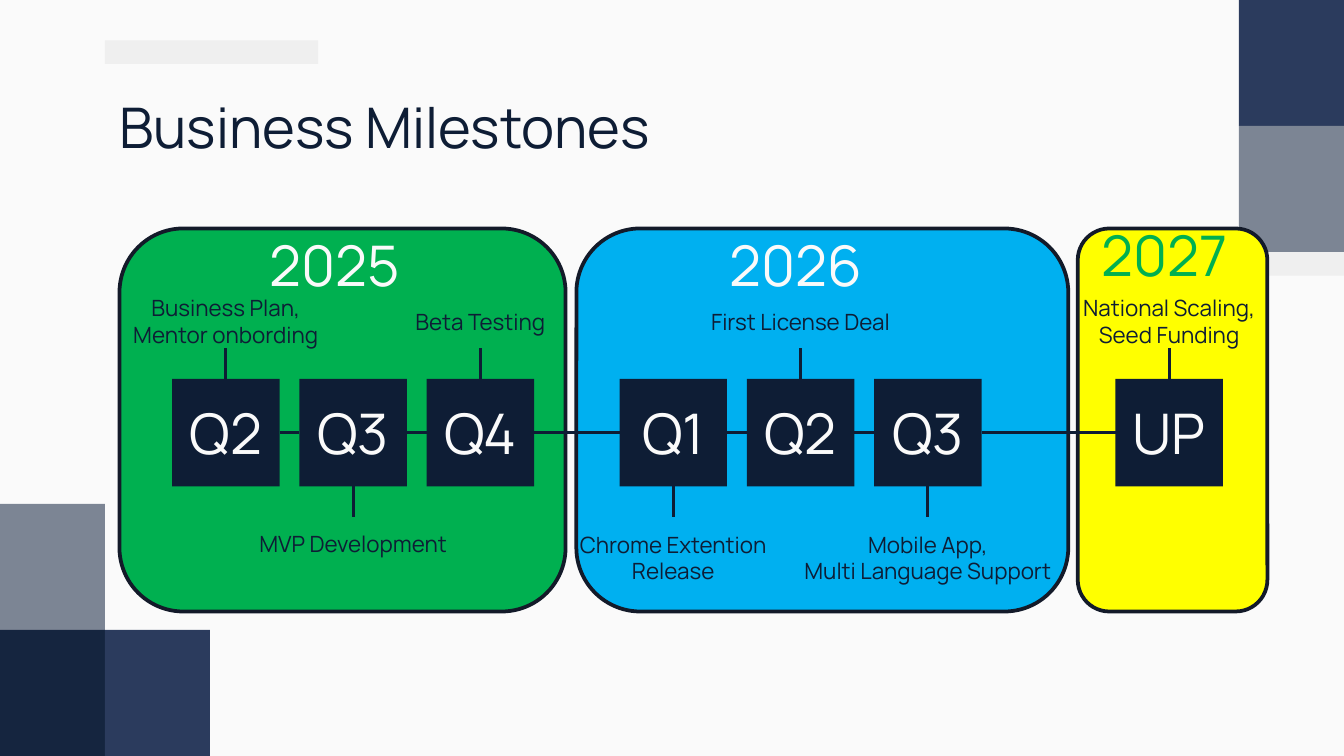
from dataclasses import dataclass
from itertools import pairwise

from lxml import etree
from pptx import Presentation
from pptx.dml.color import RGBColor
from pptx.enum.shapes import MSO_CONNECTOR, MSO_SHAPE
from pptx.enum.text import MSO_ANCHOR, PP_ALIGN
from pptx.oxml.ns import qn
from pptx.util import Pt

RECT = MSO_SHAPE.RECTANGLE
ROUNDED = MSO_SHAPE.ROUNDED_RECTANGLE
STRAIGHT = MSO_CONNECTOR.STRAIGHT
LEFT, CENTER = PP_ALIGN.LEFT, PP_ALIGN.CENTER
TOP, MIDDLE = MSO_ANCHOR.TOP, MSO_ANCHOR.MIDDLE
RIGHT_SITE, LEFT_SITE = 3, 1


@dataclass(frozen=True)
class Theme:
    font: str = "Manrope"
    heading: int = 30
    label: int = 12
    paper: str = "FAFAFA"
    ink: str = "0E1D35"
    outline: str = "131A29"
    deep: str = "15253F"
    navy: str = "2B3B5D"
    slate: str = "7C8594"
    mist: str = "EFEFEF"
    green: str = "00B050"
    blue: str = "00B0F0"
    yellow: str = "FFFF00"


class MilestoneSlide:
    def __init__(self, slide, theme):
        self.slide = slide
        self.theme = theme
        background = slide.background.fill
        background.solid()
        background.fore_color.rgb = RGBColor.from_string(theme.paper)

    def block(self, left, top, width, height, color, kind=RECT, outlined=False):
        block = self.slide.shapes.add_shape(
            kind, Pt(left), Pt(top), Pt(width), Pt(height))
        block.shadow.inherit = False
        block.fill.solid()
        block.fill.fore_color.rgb = RGBColor.from_string(color)
        if outlined:
            block.line.color.rgb = RGBColor.from_string(self.theme.outline)
            block.line.width = Pt(2)
        else:
            block.line.fill.background()
        return block

    def set_text(self, shape, text, size, color, align, anchor=TOP):
        frame = shape.text_frame
        frame.word_wrap = True
        frame.vertical_anchor = anchor
        frame.margin_left = frame.margin_right = Pt(7.2)
        frame.margin_top = frame.margin_bottom = Pt(7.2)
        frame.text = text
        for paragraph in frame.paragraphs:
            paragraph.alignment = align
            paragraph.font.name = self.theme.font
            paragraph.font.size = Pt(size)
            paragraph.font.color.rgb = RGBColor.from_string(color)

    def text(self, left, top, width, height, text, size, color, align=LEFT):
        box = self.slide.shapes.add_textbox(
            Pt(left), Pt(top), Pt(width), Pt(height))
        self.set_text(box, text, size, color, align)

    def quarter(self, left, top, side, name):
        square = self.block(left, top, side, side, self.theme.ink)
        self.set_text(square, name, self.theme.heading, self.theme.paper,
                      CENTER, MIDDLE)
        return square

    def line(self, x1, y1, x2, y2):
        line = self.slide.shapes.add_connector(
            STRAIGHT, Pt(x1), Pt(y1), Pt(x2), Pt(y2))
        line.line.color.rgb = RGBColor.from_string(self.theme.ink)
        line.line.width = Pt(1.5)
        etree.SubElement(line._element.spPr, qn("a:effectLst"))
        return line

    def link(self, earlier, later):
        line = self.line(0, 0, 0, 0)
        line.begin_connect(earlier, RIGHT_SITE)
        line.end_connect(later, LEFT_SITE)


def main():
    theme = Theme()
    deck = Presentation()
    deck.slide_width, deck.slide_height = Pt(720), Pt(405)
    page = MilestoneSlide(deck.slides.add_slide(deck.slide_layouts[6]), theme)

    tile_w, tile_h = 56.25, 67.5
    right_edge = 720 - tile_w
    for left, row, color in (
        (0, 4, theme.slate), (0, 5, theme.deep), (tile_w, 5, theme.navy),
        (right_edge, 0, theme.navy), (right_edge, 1, theme.slate),
    ):
        page.block(left, row * tile_h, tile_w, tile_h, color)
    page.block(right_edge, 2 * tile_h, tile_w, 12.6, theme.mist)
    page.block(tile_w, 21.6, 114.3, 12.6, theme.mist)
    page.text(56.9, 42.5, 607, 45.4, "Business Milestones",
              theme.heading, theme.ink)

    years = (
        ("2025", 64, 239, theme.green, 137.5, 116.6, theme.paper),
        ("2026", 308.8, 263.5, theme.blue, 383.8, 116.6, theme.paper),
        ("2027", 577.4, 101.6, theme.yellow, 583.2, 110.9, theme.green),
    )
    for year, left, width, color, year_left, year_top, year_color in years:
        page.block(left, 122.4, width, 205.2, color, ROUNDED, outlined=True)
        page.text(year_left, year_top, 90, 45.4, year, theme.heading, year_color)

    side, pitch, square_top, stem = 57.6, 68.2, 203, 16.5
    square_bottom = square_top + side
    milestones = (
        (92.2, (
            ("Q2", "Business Plan, Mentor onbording", True, 36, 130),
            ("Q3", "MVP Development", False, 36, 130),
            ("Q4", "Beta Testing", True, 28.8, 130))),
        (331.9, (
            ("Q1", "Chrome Extention Release", False, 43.9, 130),
            ("Q2", "First License Deal", True, 28.8, 130),
            ("Q3", "Mobile App,\nMulti Language Support", False, 43.9, 162))),
        (597.6, (
            ("UP", "National Scaling,\nSeed Funding", True, 36, 130),)),
    )
    squares = []
    for start, quarters in milestones:
        for index, (name, event, above, height, width) in enumerate(quarters):
            left = start + index * pitch
            center = left + side / 2
            squares.append(page.quarter(left, square_top, side, name))
            if above:
                stem_top = square_top - stem
                event_top = stem_top - height
            else:
                stem_top = square_bottom
                event_top = stem_top + stem
            page.line(center, stem_top, center, stem_top + stem)
            page.text(center - width / 2, event_top, width, height, event,
                      theme.label, theme.ink, CENTER)
    for earlier, later in pairwise(squares):
        page.link(earlier, later)

    deck.save("out.pptx")


if __name__ == "__main__":
    main()
